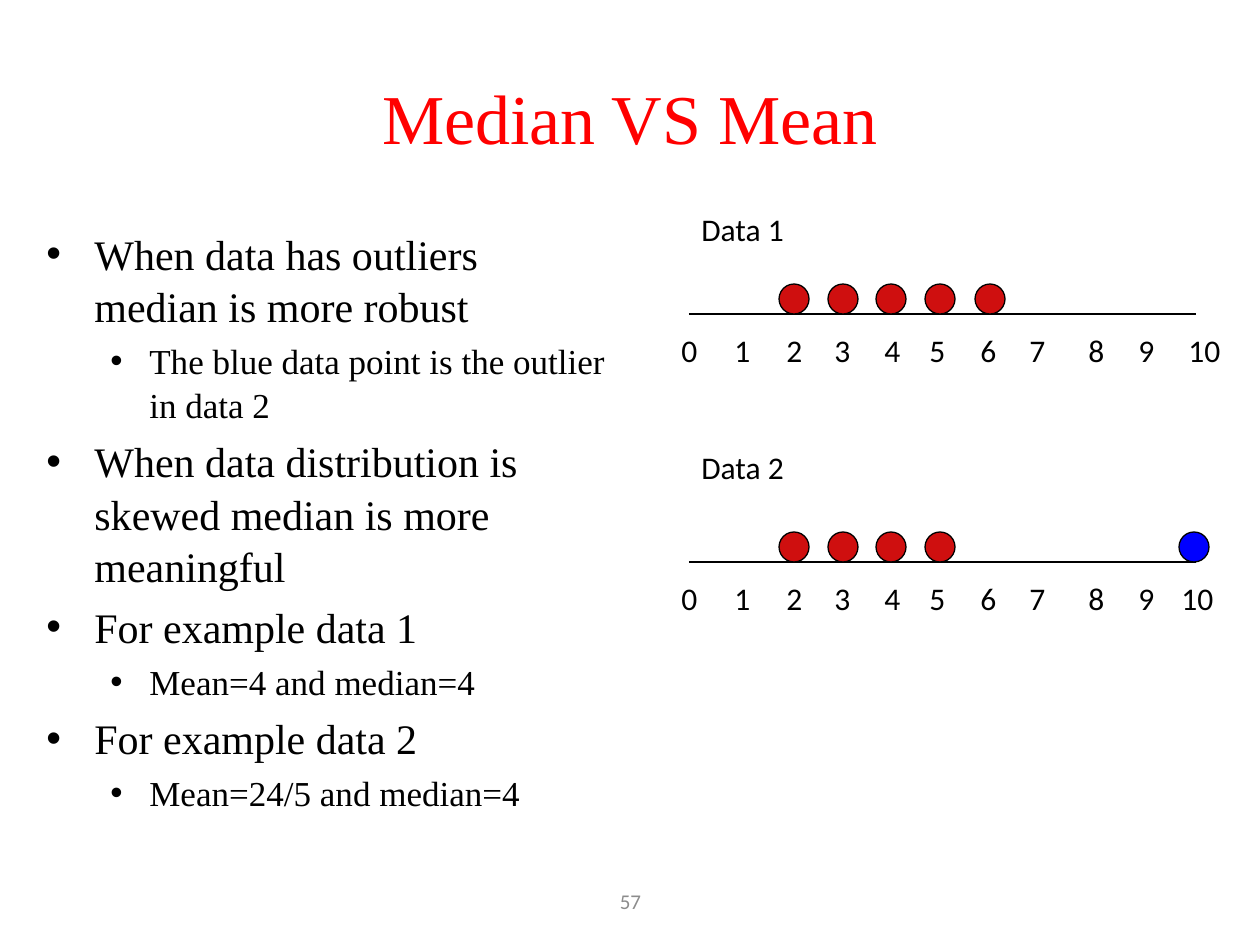
"""Build the slide comparing median and mean on two dot plots."""
from lxml import etree
from pptx import Presentation
from pptx import util as u
from pptx.dml.color import RGBColor
from pptx.enum import shapes, text
from pptx.oxml.ns import qn

SCALE = 914400 / 126
COLORS = {"title": "FF0000", "text": "000000", "number": "8C8C8C",
          "point": "CF0F0F", "outlier": "0000FF", "line": "000000"}


def px(*lengths):
    return [u.Emu(round(length * SCALE)) for length in lengths]


def add_text(box, lines, size, font, color, align=text.PP_ALIGN.LEFT,
             anchor=text.MSO_ANCHOR.TOP):
    frame = slide.shapes.add_textbox(*px(*box)).text_frame
    frame.word_wrap = True
    frame.vertical_anchor = anchor
    frame.text = "\n".join(lines)
    for paragraph in frame.paragraphs:
        paragraph.alignment = align
        paragraph.font.size = u.Pt(size)
        paragraph.font.name = font
        paragraph.font.color.rgb = RGBColor.from_string(COLORS[color])
    return frame


presentation = Presentation()
presentation.slide_width, presentation.slide_height = px(1260, 945)
slide = presentation.slides.add_slide(presentation.slide_layouts[6])

centered = {"align": text.PP_ALIGN.CENTER, "anchor": text.MSO_ANCHOR.MIDDLE}
add_text((431, 876, 399, 50), ["57"], 12, "Calibri", "number", **centered)
add_text((63, 38, 1134, 157), ["Median VS Mean"], 40, "Times New Roman", "title", **centered)

bullets = [
    (0, "When data has outliers median is more robust"),
    (1, "The blue data point is the outlier in data 2"),
    (0, "When data distribution is skewed median is more meaningful"),
    (0, "For example data 1"),
    (1, "Mean=4 and median=4"),
    (0, "For example data 2"),
    (1, "Mean=24/5 and median=4"),
]
levels = [(24, 48, -48), (20, 103, -39)]
body = add_text((34, 220, 585, 624), [line for _, line in bullets], 24, "Times New Roman", "text")
for paragraph, (level, _) in zip(body.paragraphs, bullets):
    size, margin, indent = levels[level]
    paragraph.level = level
    paragraph.font.size = u.Pt(size)
    paragraph.space_before = u.Pt(size * 0.2)
    paragraph.line_spacing = 1.04
    properties = paragraph._p.get_or_add_pPr()
    for name, length in zip(("marL", "indent"), px(margin, indent)):
        properties.set(name, str(length))
    bullet_font = etree.Element(qn("a:buFont"), typeface="Arial")
    bullet_mark = etree.Element(qn("a:buChar"), char="•")
    default_run = properties.find(qn("a:defRPr"))
    default_run.addprevious(bullet_font)
    default_run.addprevious(bullet_mark)

tick_lefts = [669, 722, 774, 822, 872, 917, 968, 1017, 1076, 1126]
point_lefts = {2: 779, 3: 828, 4: 876, 5: 925, 6: 975, 10: 1179}
plots = [
    ("Data 1", 204, 314, 1176, [2, 3, 4, 5, 6]),
    ("Data 2", 442, 562, 1169, [2, 3, 4, 5, 10]),
]
for label, label_top, axis_y, ten_left, values in plots:
    add_text((689, label_top, 198, 50), [label], 18, "Calibri", "text")

    axis = slide.shapes.add_connector(
        shapes.MSO_CONNECTOR.STRAIGHT, *px(689, axis_y, 1196, axis_y))
    axis.line.width = u.Pt(0.75)
    axis.line.color.rgb = RGBColor.from_string(COLORS["line"])
    etree.SubElement(axis._element.spPr, qn("a:effectLst"))

    for tick, left in enumerate(tick_lefts + [ten_left]):
        width = 69 if tick == 10 else 30
        add_text((left, axis_y + 11, width, 50), [str(tick)], 18, "Calibri", "text")

    for value in values:
        point = slide.shapes.add_shape(
            shapes.MSO_SHAPE.OVAL, *px(point_lefts[value], axis_y - 30, 30, 30))
        point.shadow.inherit = False
        point.fill.solid()
        fill = COLORS["outlier" if value == 10 else "point"]
        point.fill.fore_color.rgb = RGBColor.from_string(fill)
        point.line.width = u.Pt(0.75)
        point.line.color.rgb = RGBColor.from_string(COLORS["line"])

presentation.save("out.pptx")
